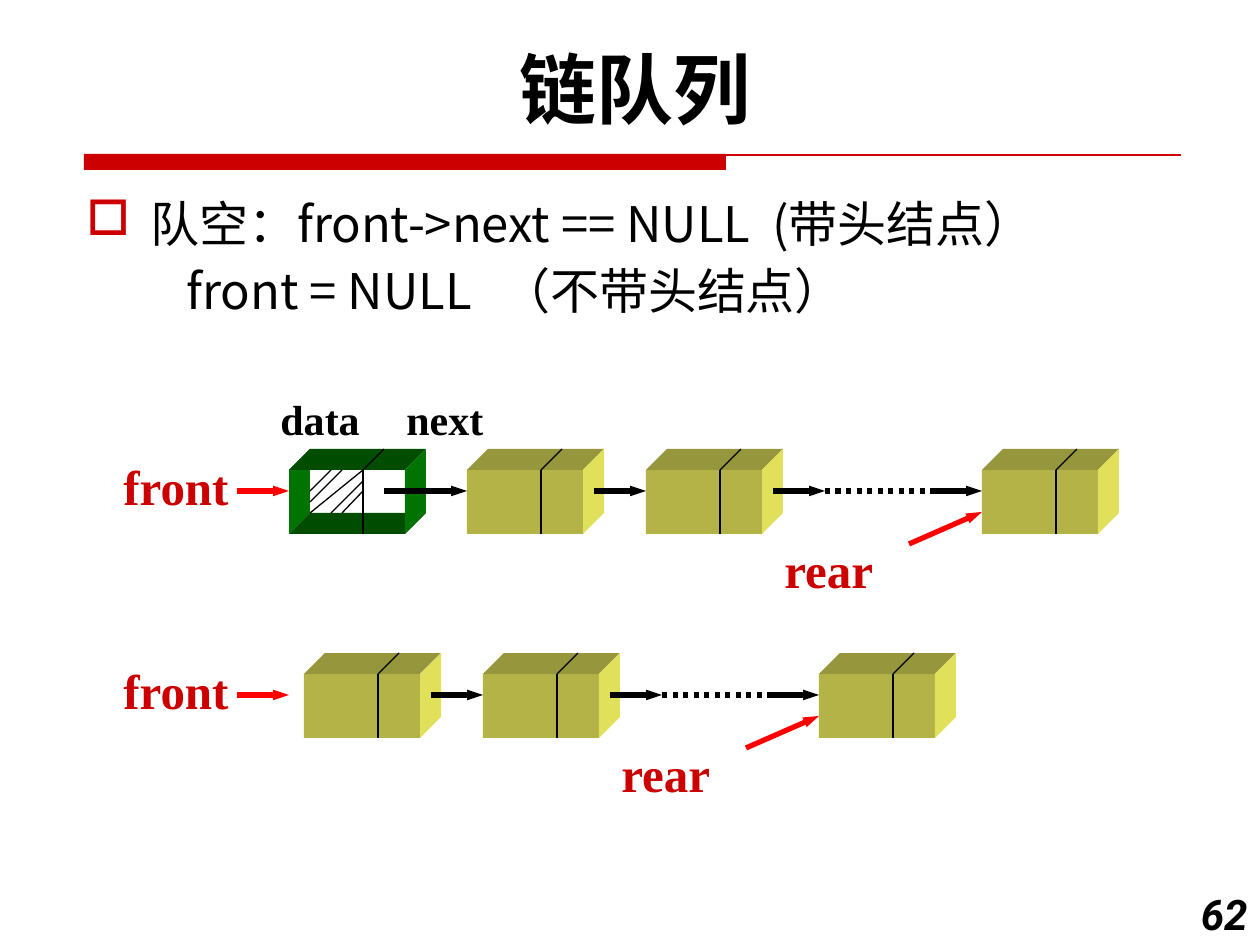
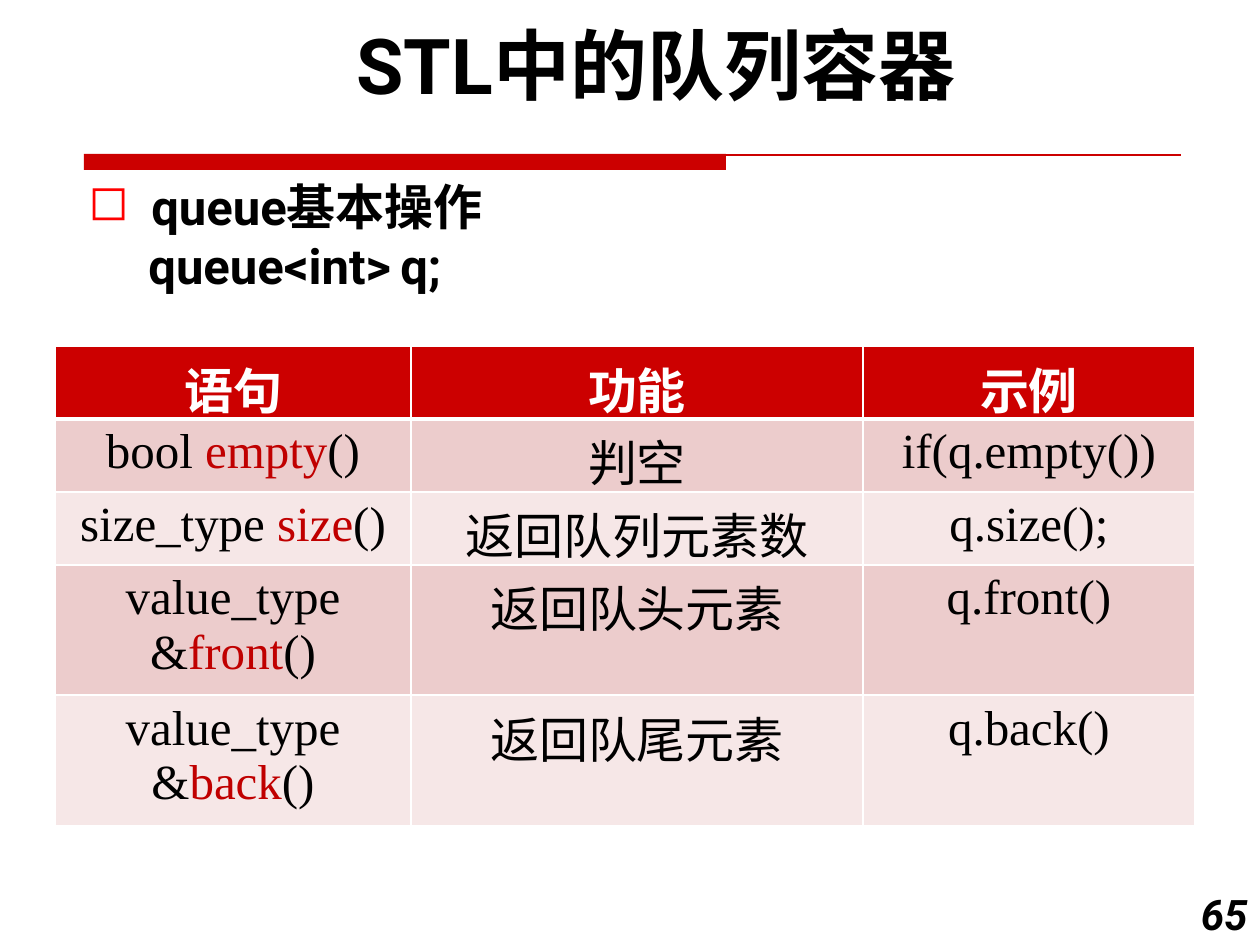
import pptx
import pptx.dml.color
import pptx.enum.shapes
import pptx.enum.text
import pptx.oxml.ns
import pptx.util
from lxml import etree

PX = 914400 / 126  # EMU in one px
ALIGN = pptx.enum.text.PP_ALIGN
SHAPE = pptx.enum.shapes.MSO_SHAPE

RED, POINTER_RED, KEYWORD_RED = "CC0000", "FF0000", "C00000"
BLACK, WHITE = "000000", "FFFFFF"
SERIF, SANS, CJK = "Times New Roman", "Roboto", "Noto Sans CJK SC"
NODE_FACE, NODE_TOP, NODE_SIDE = "B3B348", "96963C", "E0E05A"
HEAD_DARK, HEAD_SIDE = "004C00", "007300"

# Node geometry in px
WIDTH, HEIGHT, DEPTH, DIVIDER = 116, 64, 21, 74
STEP, LAST, ARROW = 179, 515, 52


def px(length):
    return pptx.util.Emu(round(length * PX))


def rgb(value):
    return pptx.dml.color.RGBColor.from_string(value)


def child(parent, tag, **attributes):
    return etree.SubElement(parent, pptx.oxml.ns.qn(tag), attributes)


class Deck:
    def __init__(self):
        self.prs = pptx.Presentation()
        self.prs.slide_width, self.prs.slide_height = px(1260), px(945)
        self.slide = None

    def new_slide(self, title, title_box, number):
        self.slide = self.prs.slides.add_slide(self.prs.slide_layouts[6])
        # Title band
        self.shape(84, 154, 642, 16, RED)
        self.line((84, 155), (1181, 155), RED)
        # Title and page number
        self.text(*title_box, [title], 44, SANS, align=ALIGN.CENTER)
        self.text(1176, 882, 84, 63, [number], 24, SANS, align=ALIGN.RIGHT, italic=True)

    def format_run(self, run, size, font, color=BLACK, bold=False, italic=False):
        run.font.size, run.font.name = pptx.util.Pt(size), font
        run.font.bold, run.font.italic = bold, italic
        run.font.color.rgb = rgb(color)
        child(run._r.get_or_add_rPr(), "a:ea", typeface=CJK)

    def text(self, x, y, w, h, lines, size, font, color=BLACK, bold=True,
             italic=False, align=ALIGN.LEFT, wrap=True):
        frame = self.slide.shapes.add_textbox(px(x), px(y), px(w), px(h)).text_frame
        frame.word_wrap = wrap
        frame.text = "\n".join(lines)
        for paragraph in frame.paragraphs:
            paragraph.alignment = align
            for run in paragraph.runs:
                self.format_run(run, size, font, color, bold, italic)
        return frame.paragraphs

    def indent(self, paragraph, left, bullet=None, color=RED, tab=None):
        props = paragraph._p.get_or_add_pPr()
        props.set("marL", str(px(left)))
        props.set("indent", str(px(-left) if bullet else 0))
        if bullet:
            child(child(props, "a:buClr"), "a:srgbClr", val=color)
            child(props, "a:buChar", char=bullet)
        if tab:
            child(child(props, "a:tabLst"), "a:tab", pos=str(px(tab)), algn="l")

    def shape(self, x, y, w, h, fill):
        self.paint(self.slide.shapes.add_shape(
            SHAPE.RECTANGLE, px(x), px(y), px(w), px(h)), fill)

    def outline(self, points, fill):
        builder = self.slide.shapes.build_freeform(*points[0], scale=PX)
        builder.add_line_segments(points[1:], close=True)
        self.paint(builder.convert_to_shape(), fill)

    def paint(self, shape, fill):
        shape.shadow.inherit = False
        shape.fill.solid()
        shape.fill.fore_color.rgb = rgb(fill)
        shape.line.fill.background()

    def line(self, start, end, color=BLACK, width=0.75, arrow=False, dotted=False):
        connector = self.slide.shapes.add_connector(
            pptx.enum.shapes.MSO_CONNECTOR.STRAIGHT,
            *[px(value) for value in (*start, *end)])
        connector.line.color.rgb = rgb(color)
        connector.line.width = pptx.util.Pt(width)
        stroke = connector.line._get_or_add_ln()
        if dotted:
            child(stroke, "a:prstDash", val="sysDot")
        if arrow:
            child(stroke, "a:tailEnd", type="triangle", w="sm", len="med")
        child(connector._element.spPr, "a:effectLst")

    def arrow(self, start, end, color=BLACK):
        self.line(start, end, color, 3, arrow=True)

    def label(self, x, y, word):
        self.text(x, y, 132, 72, [word], 28, SERIF, RED, wrap=False)

    def top_and_side(self, x, y, top, side):
        right, bottom = x + WIDTH, y + HEIGHT
        self.outline([(x, y), (x + DEPTH, y - DEPTH),
                      (right + DEPTH, y - DEPTH), (right, y)], top)
        self.outline([(right, y), (right + DEPTH, y - DEPTH),
                      (right + DEPTH, bottom - DEPTH), (right, bottom)], side)

    def divider(self, x, y):
        middle = x + DIVIDER
        self.line((middle, y), (middle, y + HEIGHT))
        self.line((middle, y), (middle + DEPTH, y - DEPTH))

    def node(self, x, y):
        self.shape(x, y, WIDTH, HEIGHT, NODE_FACE)
        self.top_and_side(x, y, NODE_TOP, NODE_SIDE)
        self.divider(x, y)

    def head_node(self, x, y):
        bottom, back = y + HEIGHT, y + HEIGHT - DEPTH
        self.outline([(x, y), (x + DEPTH, y - DEPTH), (x + DEPTH, back), (x, bottom)],
                     HEAD_SIDE)
        self.outline([(x, bottom), (x + DEPTH, back), (x + WIDTH + DEPTH, back),
                      (x + WIDTH, bottom)], HEAD_DARK)
        self.top_and_side(x, y, HEAD_DARK, HEAD_SIDE)
        self.divider(x, y)
        # Hatching marks the unused data field
        left, middle = x + DEPTH, x + DIVIDER
        for start, end in [((left + 21, y), (left, y + 21)),
                           ((left + 32, y), (left, y + 32)),
                           ((middle, y), (left, back)),
                           ((middle, y + 11), (left + 21, back)),
                           ((middle, y + 21), (left + 32, back))]:
            self.line(start, end)

    def chain(self, x, y):
        level = y + DEPTH
        for offset in (0, STEP, LAST):
            self.node(x + offset, y)
        for end in (STEP, 2 * STEP, LAST):
            self.arrow((x + end - ARROW, level), (x + end, level))
        self.line((x + 2 * STEP, level), (x + LAST - ARROW, level), width=3, dotted=True)
        self.arrow((x + 442, y + 74), (x + LAST, y + 42), POINTER_RED)
        self.label(x + 305, y + 63, "rear")
        self.label(111, y - 20, "front")
        self.arrow((237, level), (289, level), POINTER_RED)

    def table(self, x, y, widths, heights, rows):
        grid = self.slide.shapes.add_table(
            len(rows), len(widths), px(x), px(y), px(sum(widths)), px(sum(heights))).table
        for column, width in zip(grid.columns, widths):
            column.width = px(width)
        for row, height in zip(grid.rows, heights):
            row.height = px(height)
        for r, row in enumerate(rows):
            fill = RED if r == 0 else ("F6E7E7", "ECCCCC")[r % 2]
            for c, content in enumerate(row):
                self.cell(grid.cell(r, c), content, fill, r)

    def cell(self, cell, content, fill, row):
        borders = {"L": 1, "R": 1, "T": 3 if row == 1 else 1, "B": 1 if row else 3}
        for side, width in borders.items():
            edge = child(cell._tc.get_or_add_tcPr(), "a:ln" + side,
                         w=str(pptx.util.Pt(width)))
            child(child(edge, "a:solidFill"), "a:srgbClr", val=WHITE)
        cell.fill.solid()
        cell.fill.fore_color.rgb = rgb(fill)
        paragraph = cell.text_frame.paragraphs[0]
        paragraph.alignment = ALIGN.CENTER
        # The middle part of a split cell is the function name
        parts = [content] if isinstance(content, str) else content
        for index, part in enumerate(parts):
            run = paragraph.add_run()
            run.text = part
            color = WHITE if row == 0 else KEYWORD_RED if index == 1 else BLACK
            self.format_run(run, 28, SERIF, color, bold=row == 0)


def linked_queue(deck):
    deck.new_slide("链队列", (52, 35, 1166, 106), "62")
    with_head, without_head = deck.text(
        74, 194, 1207, 557,
        ["队空：front->next == NULL  (带头结点）", "front = NULL\t（不带头结点）"],
        28, CJK, bold=False)
    for condition in (with_head, without_head):
        condition.line_spacing = 0.9
    without_head.space_before = pptx.util.Pt(8)
    deck.indent(with_head, 64, "□")
    deck.indent(without_head, 100, tab=441)

    # Queue with a head node
    fields, = deck.text(268, 387, 231, 63, ["data\tnext"], 24, SERIF)
    deck.indent(fields, 0, tab=100)
    deck.head_node(289, 470)
    deck.chain(467, 470)
    deck.arrow((384, 491), (467, 491))

    # Queue without a head node
    deck.chain(304, 674)


def stl_queue(deck):
    deck.new_slide("STL中的队列容器", (84, 11, 1144, 105), "65")
    heading, declaration = deck.text(
        76, 170, 1182, 131, ["queue基本操作", "queue<int>\tq;"], 28, SANS)
    deck.indent(heading, 63, "◻", POINTER_RED)
    deck.indent(declaration, 60, tab=339)

    # Operations
    deck.table(55, 346, [356, 452, 332], [73, 73, 73, 130, 130], [
        ["语句", "功能", "示例"],
        [["bool ", "empty", "()"], "判空", "if(q.empty())"],
        [["size_type ", "size", "()"], "返回队列元素数", "q.size();"],
        [["value_type &", "front", "()"], "返回队头元素", "q.front()"],
        [["value_type &", "back", "()"], "返回队尾元素", "q.back()"],
    ])


def main():
    deck = Deck()
    linked_queue(deck)
    stl_queue(deck)
    deck.prs.save("out.pptx")


if __name__ == "__main__":
    main()
